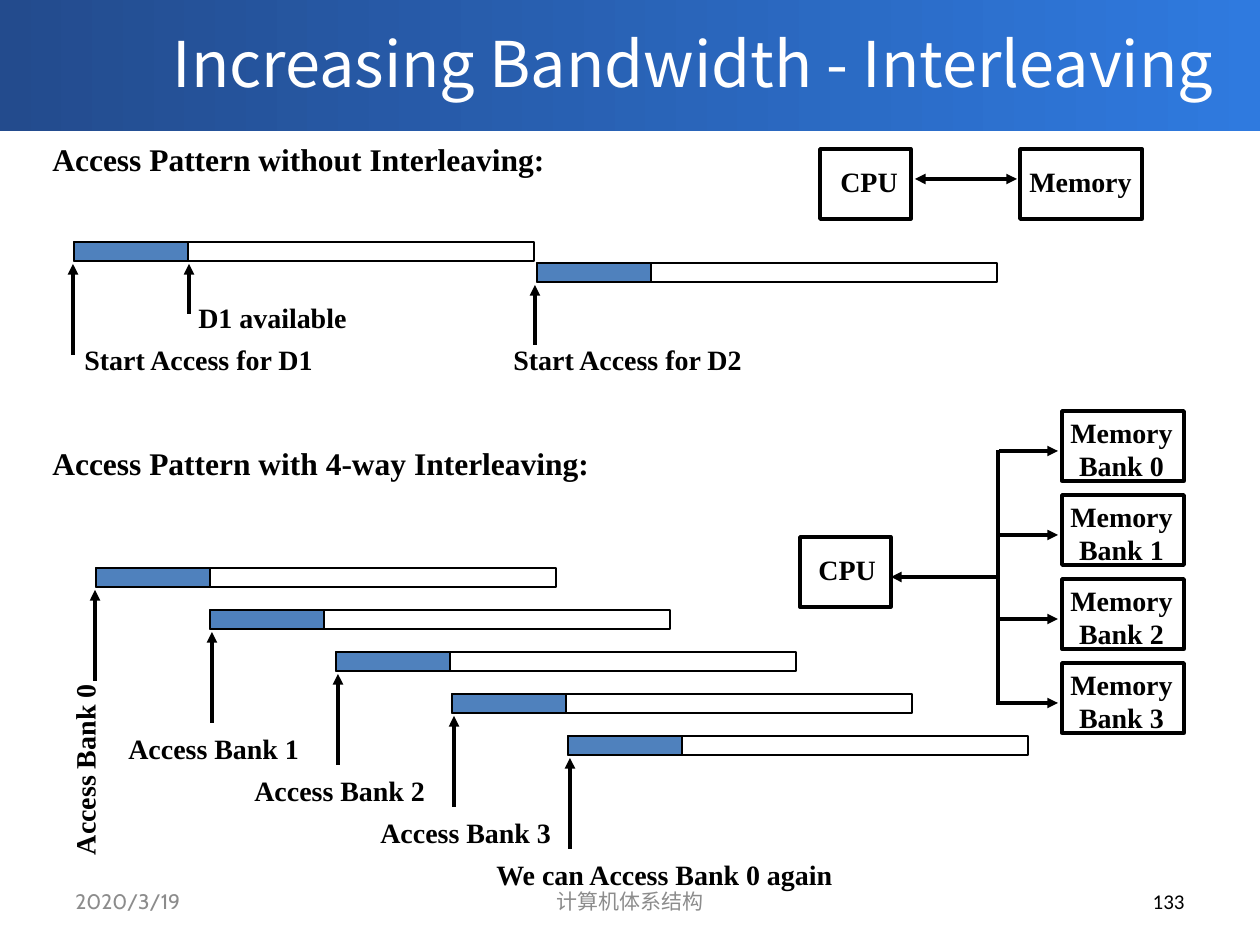
"""Build the memory interleaving slide."""
from pptx import Presentation
from pptx.dml.color import RGBColor
from pptx.enum.shapes import MSO_CONNECTOR as Conn, MSO_SHAPE as Kind
from pptx.enum.text import MSO_ANCHOR as Anchor, PP_ALIGN as Align
from pptx.oxml.ns import qn
from pptx.util import Pt
from lxml.etree import SubElement

PX = 914400 / 126
BLACK, WHITE, BLUE, GRAY = "000000", "FFFFFF", "4F81BD", "8C8C8C"
SERIF, SANS = "Times New Roman", "Noto Sans CJK SC"

HEADS = [
    ("Access Pattern without Interleaving:", 40, 134, 523),
    ("Access Pattern with 4-way Interleaving:", 40, 438, 568),
]
LABELS = [
    ("Start Access for D1", 72, 336, 257),
    ("Start Access for D2", 501, 336, 257),
    ("D1 available", 186, 294, 175),
    ("CPU", 828, 158, 83),
    ("Memory", 1017, 158, 129),
    ("CPU", 806, 546, 83),
    ("Access Bank 1", 116, 725, 198),
    ("Access Bank 2", 242, 767, 198),
    ("Access Bank 3", 368, 809, 198),
    ("We can Access Bank 0 again", 484, 851, 365),
]
BARS = [  # x, y, arrow x, arrow length
    (74, 242, 73, 91), (537, 263, 535, 60),
    (96, 568, 95, 91), (210, 610, 212, 91), (336, 652, 338, 91),
    (452, 694, 454, 91), (568, 736, 570, 91),
]
BARS = [tuple(bar) for bar in BARS]
BOXES = [(820, 149, 91), (1020, 149, 122), (800, 537, 91)]
BANKS = ["Bank 0", "Bank 1", "Bank 2", "Bank 3"]
FOOTS = [
    ("2020/3/19", 63, 294, Align.LEFT, "Cabin", GRAY),
    ("计算机体系结构", 431, 399, Align.CENTER, "Cabin", GRAY),
    ("133", 903, 294, Align.RIGHT, "Calibri", BLACK),
]


def px(*vals):
    return [round(v * PX) for v in vals]


def rgb(code):
    return RGBColor.from_string(code)


def rect(shapes, x, y, w, h, fill=None, line=None):
    box = shapes.add_shape(Kind.RECTANGLE, *px(x, y, w, h))
    box.shadow.inherit = False
    if fill:
        box.fill.solid()
        box.fill.fore_color.rgb = rgb(fill)
    else:
        box.fill.background()
    if line:
        box.line.color.rgb = rgb(BLACK)
        box.line.width = Pt(line)
    else:
        box.line.fill.background()
    return box


def text(shapes, words, x, y, w, h=47, size=16, font=SERIF, color=BLACK,
         bold=True, align=Align.LEFT, anchor=Anchor.TOP, wrap=False):
    box = shapes.add_textbox(*px(x, y, w, h))
    frame = box.text_frame
    frame.text = words
    frame.word_wrap = wrap
    frame.vertical_anchor = anchor
    for par in frame.paragraphs:
        par.alignment = align
        for run in par.runs:
            run.font.size = Pt(size)
            run.font.name = font
            run.font.bold = bold
            run.font.color.rgb = rgb(color)
    return box


def line(shapes, x1, y1, x2, y2, ends=()):
    con = shapes.add_connector(Conn.STRAIGHT, *px(x1, y1, x2, y2))
    con.line.color.rgb = rgb(BLACK)
    con.line.width = Pt(2)
    ln = con.line._get_or_add_ln()
    for end in ends:
        SubElement(ln, qn(f"a:{end}End"), type="triangle")
    SubElement(con._element.spPr, qn("a:effectLst"))


def main():
    prs = Presentation()
    prs.slide_width, prs.slide_height = px(1260, 945)
    shapes = prs.slides.add_slide(prs.slide_layouts[6]).shapes

    band = rect(shapes, 0, -4, 1260, 135)
    band.fill.gradient()
    band.fill.gradient_angle = 0
    for stop, code in zip(band.fill.gradient_stops, ("234B8D", "2F7ADF")):
        stop.color.rgb = rgb(code)
    text(shapes, "Increasing Bandwidth - Interleaving", 126, 0, 1134, 125, 36,
         SANS, WHITE, False, Align.CENTER, Anchor.MIDDLE, True)

    for words, x, y, w in HEADS:
        text(shapes, words, x, y, w, 50, 18)
    for words, x, y, w in LABELS:
        text(shapes, words, x, y, w)
    text(shapes, "Access Bank 0", -14, 745, 198).rotation = 270

    for x, y, tip, size in BARS:
        group = shapes.add_group_shape().shapes
        rect(group, x, y, 114, 19, BLUE, 1)
        rect(group, x, y, 460, 19, None, 1)
        line(shapes, tip, y + 22, tip, y + 22 + size, ["head"])
    line(shapes, 189, 264, 189, 314, ["head"])

    for x, y, w in BOXES:
        rect(shapes, x, y, w, 70, None, 2)
    line(shapes, 915, 179, 1017, 179, ["head", "tail"])

    for i, bank in enumerate(BANKS):
        y = 411 + 84 * i
        rect(shapes, 1062, y, 122, 70, None, 2)
        text(shapes, f"Memory\n{bank}", 1057, y - 2, 129, 81,
             align=Align.CENTER)
        line(shapes, 999, y + 40, 1058, y + 40, ["tail"])
    line(shapes, 998, 705, 998, 450)
    line(shapes, 999, 577, 891, 577, ["tail"])

    for words, x, w, align, font, color in FOOTS:
        text(shapes, words, x, 876, w, 50, 12, font, color, False, align,
             Anchor.MIDDLE, True)
    prs.save("out.pptx")


if __name__ == "__main__":
    main()
